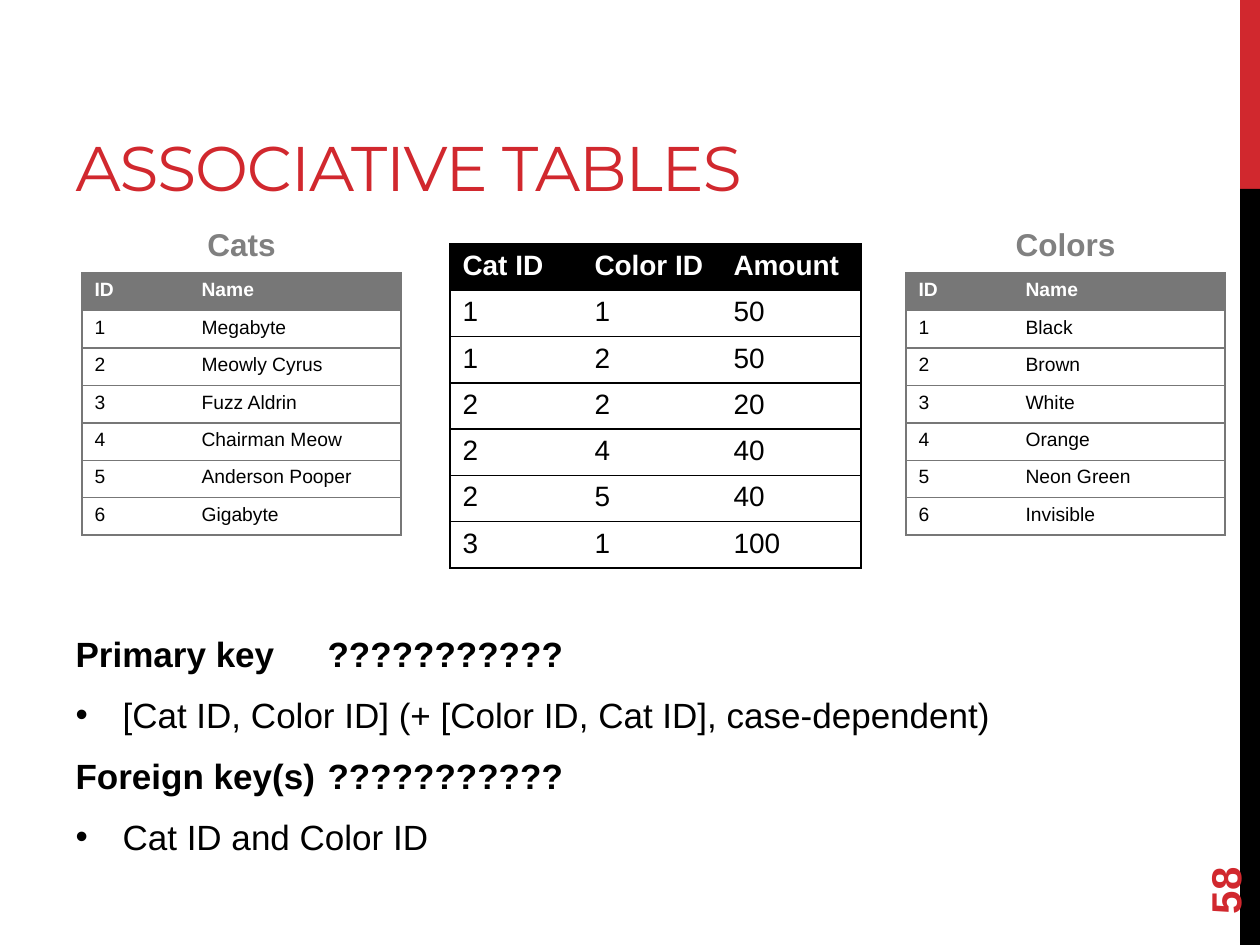
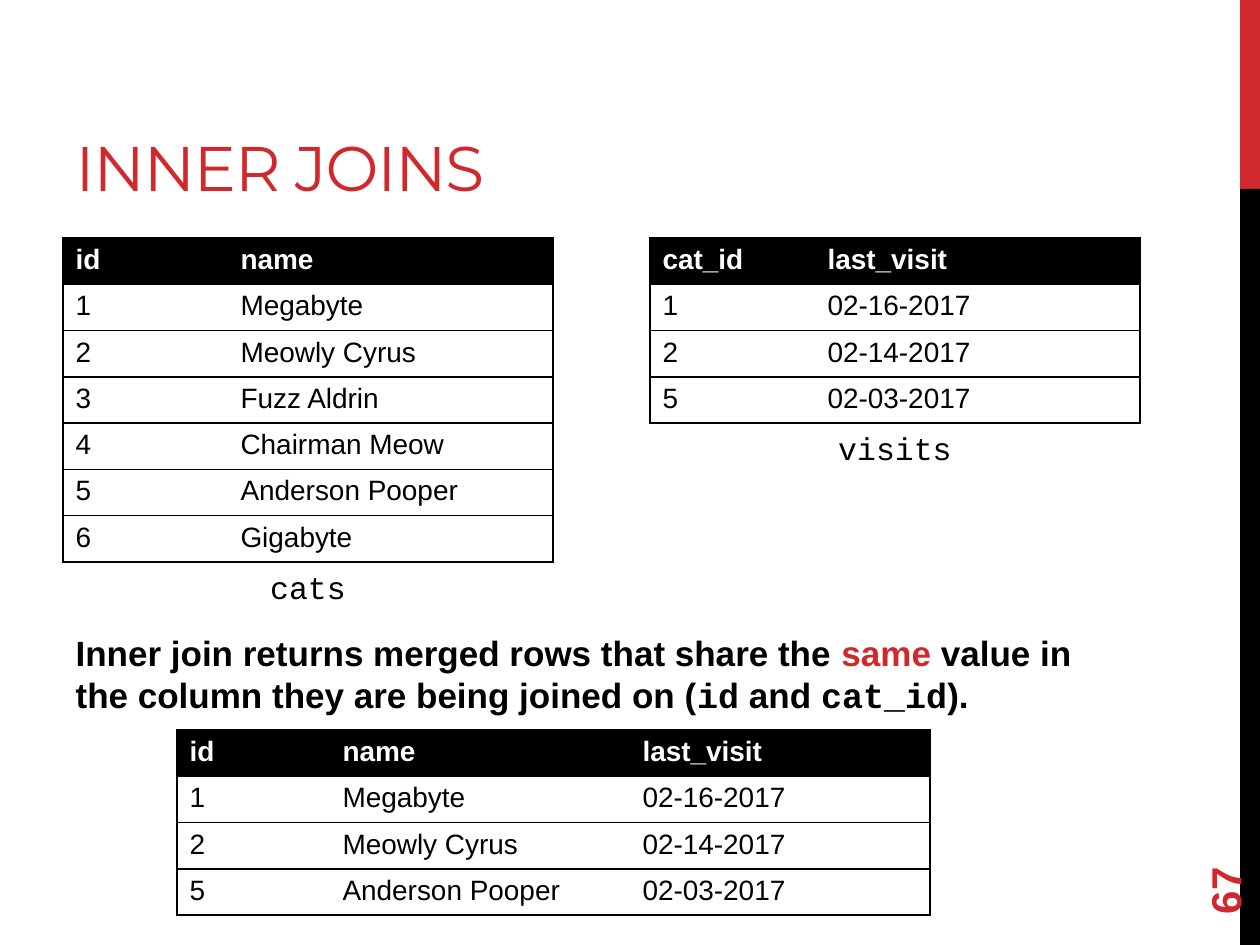
from lxml.etree import SubElement
from pptx import Presentation
from pptx.dml.color import RGBColor
from pptx.enum.shapes import MSO_SHAPE
from pptx.enum.text import MSO_ANCHOR, MSO_AUTO_SIZE, PP_ALIGN
from pptx.oxml.ns import qn
from pptx.util import Pt

# Content
CATS = [("1", "Megabyte"), ("2", "Meowly Cyrus"), ("3", "Fuzz Aldrin"),
        ("4", "Chairman Meow"), ("5", "Anderson Pooper"), ("6", "Gigabyte")]
HUES = [("1", "Black"), ("2", "Brown"), ("3", "White"),
        ("4", "Orange"), ("5", "Neon Green"), ("6", "Invisible")]
LINKS = [("1", "1", "50"), ("1", "2", "50"), ("2", "2", "20"),
         ("2", "4", "40"), ("2", "5", "40"), ("3", "1", "100")]
VISITS = [("1", "02-16-2017"), ("2", "02-14-2017"), ("5", "02-03-2017")]
NAMES = dict(CATS)
JOINED = [(key, NAMES[key], day) for key, day in VISITS]

# Shared look
RED, BLACK, WHITE = "D1282E", "000000", "FFFFFF"
GRAY, LABEL = "777777", "808080"
SANS, MONO, HEAD = "Arial", "Courier New", "Montserrat"
LARGE = dict(size=16, tone=BLACK, row=46.3)
SMALL = dict(size=11, tone=GRAY, row=37.5)

# Table: left, top, column widths, header, rows, look
# Label: text, left, top, width, format
# Body line: text or runs, bulleted, tab stop
TAG = dict(size=18, color=LABEL, bold=True, align=PP_ALIGN.CENTER)
CODE = dict(size=18, font=MONO, align=PP_ALIGN.CENTER)
SLIDES = [
    dict(title="ASSOCIATIVE TABLES", page="58",
         tables=[(450, 244, (132, 139, 140), ("Cat ID", "Color ID", "Amount"), LINKS, LARGE),
                 (82, 273, (107, 212), ("ID", "Name"), CATS, SMALL),
                 (906, 273, (107, 212), ("ID", "Name"), HUES, SMALL)],
         labels=[("Cats", 82, 219, 319, TAG), ("Colors", 906, 219, 319, TAG)],
         body=(621, 272, [
             ("Primary key\t???????????", False, 218),
             ("[Cat ID, Color ID] (+ [Color ID, Cat ID], case-dependent)", True, 0),
             ("Foreign key(s)\t???????????", False, 268),
             ("Cat ID and Color ID", True, 0)])),
    dict(title="INNER JOINS", page="67",
         tables=[(63, 238, (165, 325), ("id", "name"), CATS, LARGE),
                 (650, 238, (165, 325), ("cat_id", "last_visit"), VISITS, LARGE),
                 (177, 730, (153, 300, 300), ("id", "name", "last_visit"), JOINED, LARGE)],
         labels=[("cats", 63, 562, 490, CODE), ("visits", 650, 423, 490, CODE)],
         body=(620, 195, [
             ([("Inner join returns merged rows that share the ", {}),
               ("same", dict(color=RED)),
               (" value in the column they are being joined on (", {}),
               ("id", dict(font=MONO)), (" and ", {}),
               ("cat_id", dict(font=MONO)), (").", {})], False, 0)])),
]


def px(n):
    return round(n * 914400 / 126)


def rgb(code):
    return RGBColor.from_string(code)


def write(para, text, align=PP_ALIGN.LEFT, **form):
    """Fill a paragraph from a string or from (text, changes) runs."""
    para.alignment = align
    for part, diff in [(text, {})] if isinstance(text, str) else text:
        look = dict(size=16, font=SANS, color=BLACK, bold=False, track=0) | form | diff
        run = para.add_run()
        run.text = part
        run.font.size, run.font.bold = Pt(look["size"]), look["bold"]
        run.font.name = look["font"]
        run.font.color.rgb = rgb(look["color"])
        if look["track"]:
            run._r.get_or_add_rPr().set("spc", str(look["track"]))


def place(shape, left, top, wide, high):
    shape.left, shape.top, shape.width, shape.height = map(px, (left, top, wide, high))


def setup(shape, anchor):
    frame = shape.text_frame
    frame.word_wrap = True
    frame.auto_size = MSO_AUTO_SIZE.NONE
    frame.vertical_anchor = anchor
    return frame


def label(slide, text, left, top, wide, form, anchor=MSO_ANCHOR.TOP):
    box = slide.shapes.add_textbox(*map(px, (left, top, wide, 50)))
    write(setup(box, anchor).paragraphs[0], text, **form)
    return box


def band(slide, top, high, color):
    bar = slide.shapes.add_shape(MSO_SHAPE.RECTANGLE, *map(px, (1240, top, 20, high)))
    bar.shadow.inherit = False
    bar.fill.solid()
    bar.fill.fore_color.rgb = rgb(color)
    bar.line.fill.background()


def base(slide, title, page):
    """Side bands, title and page number."""
    band(slide, 0, 189, RED)
    band(slide, 189, 756, BLACK)
    head = slide.shapes.title
    place(head, 63, 21, 798, 189)
    write(setup(head, MSO_ANCHOR.BOTTOM).paragraphs[0], title,
          size=36, font=HEAD, color=RED, track=-60)
    num = label(slide, page, 1134, 811, 181, dict(size=24, color=RED, bold=True),
                MSO_ANCHOR.MIDDLE)
    num.rotation = 270


def edge(cell, tone, first, last):
    """Rule above and below; sides only at the outer columns."""
    props = cell._tc.get_or_add_tcPr()
    sides = (("L", first), ("R", last), ("T", True), ("B", True))
    for spot, (side, shown) in enumerate(sides):
        line = SubElement(props, qn("a:ln" + side), w=str(Pt(1)))
        if shown:
            fill = SubElement(line, qn("a:solidFill"))
            SubElement(fill, qn("a:srgbClr"), val=tone)
        else:
            SubElement(line, qn("a:noFill"))
        props.insert(spot, line)


def grid(slide, left, top, cols, head, rows, look):
    data = [head, *rows]
    size = (left, top, sum(cols), look["row"] * len(data))
    table = slide.shapes.add_table(len(data), len(cols), *map(px, size)).table
    table.horz_banding = False
    for col, wide in zip(table.columns, cols):
        col.width = px(wide)
    for r, texts in enumerate(data):
        table.rows[r].height = px(look["row"])
        for c, text in enumerate(texts):
            cell = table.cell(r, c)
            cell.fill.solid()
            cell.fill.fore_color.rgb = rgb(WHITE if r else look["tone"])
            edge(cell, look["tone"], c == 0, c == len(cols) - 1)
            write(cell.text_frame.paragraphs[0], text, size=look["size"],
                  color=BLACK if r else WHITE, bold=r == 0)


def prose(slide, top, high, lines):
    body = slide.placeholders[1]
    place(body, 63, top, 1050, high)
    frame = setup(body, MSO_ANCHOR.TOP)
    frame.margin_top = px(11)
    for n, (text, dot, stop) in enumerate(lines):
        para = frame.add_paragraph() if n else frame.paragraphs[0]
        props = para._p.get_or_add_pPr()
        hang = px(47) if dot else 0
        props.set("marL", str(hang))
        props.set("indent", str(-hang))
        if dot:
            SubElement(props, qn("a:buFont"), typeface=SANS)
            SubElement(props, qn("a:buChar"), char="•")
        else:
            SubElement(props, qn("a:buNone"))
        if stop:
            tabs = SubElement(props, qn("a:tabLst"))
            SubElement(tabs, qn("a:tab"), pos=str(px(stop)), algn="l")
        para.space_before = Pt(5 if n else 0)
        para.space_after = Pt(6)
        write(para, text, size=20, bold=not dot)


def main():
    deck = Presentation()
    deck.slide_width, deck.slide_height = px(1260), px(945)
    for part in SLIDES:
        slide = deck.slides.add_slide(deck.slide_layouts[1])
        base(slide, part["title"], part["page"])
        prose(slide, *part["body"])
        for spec in part["tables"]:
            grid(slide, *spec)
        for spec in part["labels"]:
            label(slide, *spec)
    deck.save("out.pptx")


if __name__ == "__main__":
    main()
